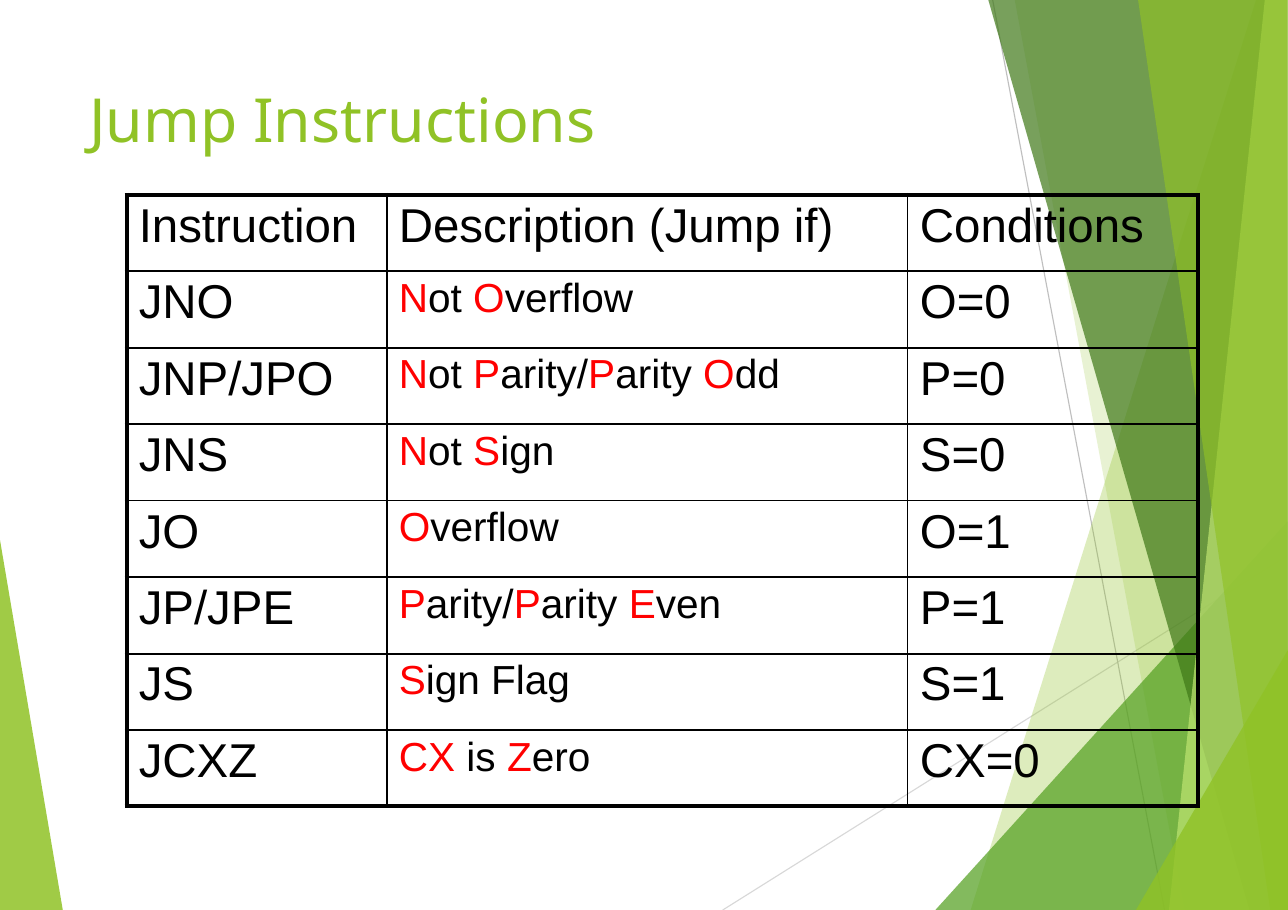
from lxml import etree
from pptx import Presentation
from pptx.dml.color import RGBColor
from pptx.enum.shapes import MSO_CONNECTOR
from pptx.oxml.ns import qn
from pptx.util import Inches, Pt

STRAIGHT = MSO_CONNECTOR.STRAIGHT
WIDTH, HEIGHT = 11.69, 8.26
COLORS = {
    "green": "90C226",
    "mid_green": "54A021",
    "dark_green": "3F7818",
    "pale_green": "BFE471",
    "light_gray": "D8D8D8",
    "gray": "BFBFBF",
    "black": "000000",
    "red": "FF0000",
}
LEFT_FACET = ([(0, 4.9), (0.57, HEIGHT), (0, HEIGHT)], "green", 85)
RIGHT_FACETS = [
    ([(11.4, 0), (8.81, HEIGHT), (WIDTH, HEIGHT), (WIDTH, 0)], "green", 30),
    ([(9.21, 0), (10.75, HEIGHT), (WIDTH, HEIGHT), (WIDTH, 0)], "green", 20),
    ([(8.49, HEIGHT), (WIDTH, 4.73), (WIDTH, HEIGHT)], "mid_green", 72),
    ([(8.97, 0), (11.34, HEIGHT), (WIDTH, HEIGHT), (WIDTH, 0)], "dark_green", 70),
    ([(11.48, 0), (10.61, HEIGHT), (WIDTH, HEIGHT), (WIDTH, 0)], "pale_green", 70),
    ([(10.33, 0), (11.53, HEIGHT), (WIDTH, HEIGHT), (11.68, 0)], "green", 65),
    ([(10.31, HEIGHT), (WIDTH, 5.9), (WIDTH, HEIGHT)], "green", 80),
]
RAYS = [
    ((6.56, HEIGHT), (WIDTH, 5.04), "light_gray"),
    ((9.01, 0), (10.57, HEIGHT), "gray"),
]
JUMPS = [
    ("Instruction", "Description (Jump if)", "Conditions"),
    ("JNO", "*N*ot *O*verflow", "O=0"),
    ("JNP/JPO", "*N*ot *P*arity/*P*arity *O*dd", "P=0"),
    ("JNS", "*N*ot *S*ign", "S=0"),
    ("JO", "*O*verflow", "O=1"),
    ("JP/JPE", "*P*arity/*P*arity *E*ven", "P=1"),
    ("JS", "*S*ign Flag", "S=1"),
    ("JCXZ", "*CX *is *Z*ero", "CX=0"),
]
COLUMN_WIDTHS = [2.36, 4.73, 2.63]
COLUMN_RULES = [3, 1.5, 1, 3]
ROW_RULES = [3, 1.5, 1, 1.5, 1, 1.5, 1.5, 1, 3]


def rgb(name):
    """Return the named colour."""
    return RGBColor.from_string(COLORS[name])


def style_run(r, font, size, color):
    """Set the font, size and colour of a run."""
    r.font.name = font
    r.font.size = Pt(size)
    r.font.color.rgb = rgb(color)


def add_facet(slide, points, color, opacity):
    """Draw a translucent polygon."""
    corners = [(Inches(x), Inches(y)) for x, y in points]
    builder = slide.shapes.build_freeform(*corners[0])
    builder.add_line_segments(corners[1:])
    sp = builder.convert_to_shape()
    sp.shadow.inherit = False
    sp.line.fill.background()
    sp.fill.solid()
    sp.fill.fore_color.rgb = rgb(color)
    clr = sp.fill._xPr.find(".//" + qn("a:srgbClr"))
    etree.SubElement(clr, qn("a:alpha"), val=str(opacity * 1000))


def add_ray(slide, start, end, color):
    """Draw a thin straight line."""
    ends = [Inches(v) for v in start + end]
    line = slide.shapes.add_connector(STRAIGHT, *ends)
    line.line.color.rgb = rgb(color)
    line.line.width = Pt(0.75)
    etree.SubElement(line._element.spPr, qn("a:effectLst"))


def add_title(slide, text):
    """Write the slide title."""
    box = slide.shapes.add_textbox(Inches(0.78), Inches(0.73), Inches(8.12), Inches(1.59))
    tf = box.text_frame
    tf.word_wrap = True
    tf.margin_left = Inches(0.03)
    tf.margin_top = Inches(0.01)
    tf.margin_right = tf.margin_bottom = 0
    tf.text = text
    style_run(tf.paragraphs[0].runs[0], "Noto Sans", 39.7, "green")


def set_borders(cell, widths):
    """Rule the left, right, top and bottom of a cell in black."""
    tcPr = cell._tc.get_or_add_tcPr()
    for side, width in zip("LRTB", widths):
        ln = etree.SubElement(tcPr, qn("a:ln" + side), w=str(Pt(width)))
        fill = etree.SubElement(ln, qn("a:solidFill"))
        etree.SubElement(fill, qn("a:srgbClr"), val=COLORS["black"])


def fill_cell(cell, text, size):
    """Write cell text, with the parts between asterisks in red."""
    cell.margin_left = Inches(0.11)
    cell.margin_top = Inches(0.04)
    cell.margin_right = cell.margin_bottom = 0
    p = cell.text_frame.paragraphs[0]
    for i, part in enumerate(text.split("*")):
        if part:
            r = p.add_run()
            r.text = part
            style_run(r, "Arial", size, "red" if i % 2 else "black")


def add_jump_table(slide):
    """Build the ruled table of jump instructions."""
    frame = slide.shapes.add_table(
        len(JUMPS), len(COLUMN_WIDTHS),
        Inches(1.15), Inches(1.77), Inches(sum(COLUMN_WIDTHS)), Inches(5.55))
    table = frame.table
    table.first_row = table.horz_banding = False
    for column, width in zip(table.columns, COLUMN_WIDTHS):
        column.width = Inches(width)
    for i, jump in enumerate(JUMPS):
        for j, text in enumerate(jump):
            cell = table.cell(i, j)
            fill_cell(cell, text, 26.5 if i > 0 and j == 1 else 31)
            set_borders(cell, COLUMN_RULES[j:j + 2] + ROW_RULES[i:i + 2])
            cell.fill.background()


def main():
    """Build and save the slide."""
    prs = Presentation()
    prs.slide_width, prs.slide_height = Inches(WIDTH), Inches(HEIGHT)
    slide = prs.slides.add_slide(prs.slide_layouts[6])
    add_facet(slide, *LEFT_FACET)
    for ray in RAYS:
        add_ray(slide, *ray)
    for facet in RIGHT_FACETS:
        add_facet(slide, *facet)
    add_title(slide, "Jump Instructions")
    add_jump_table(slide)
    prs.save("out.pptx")


main()
